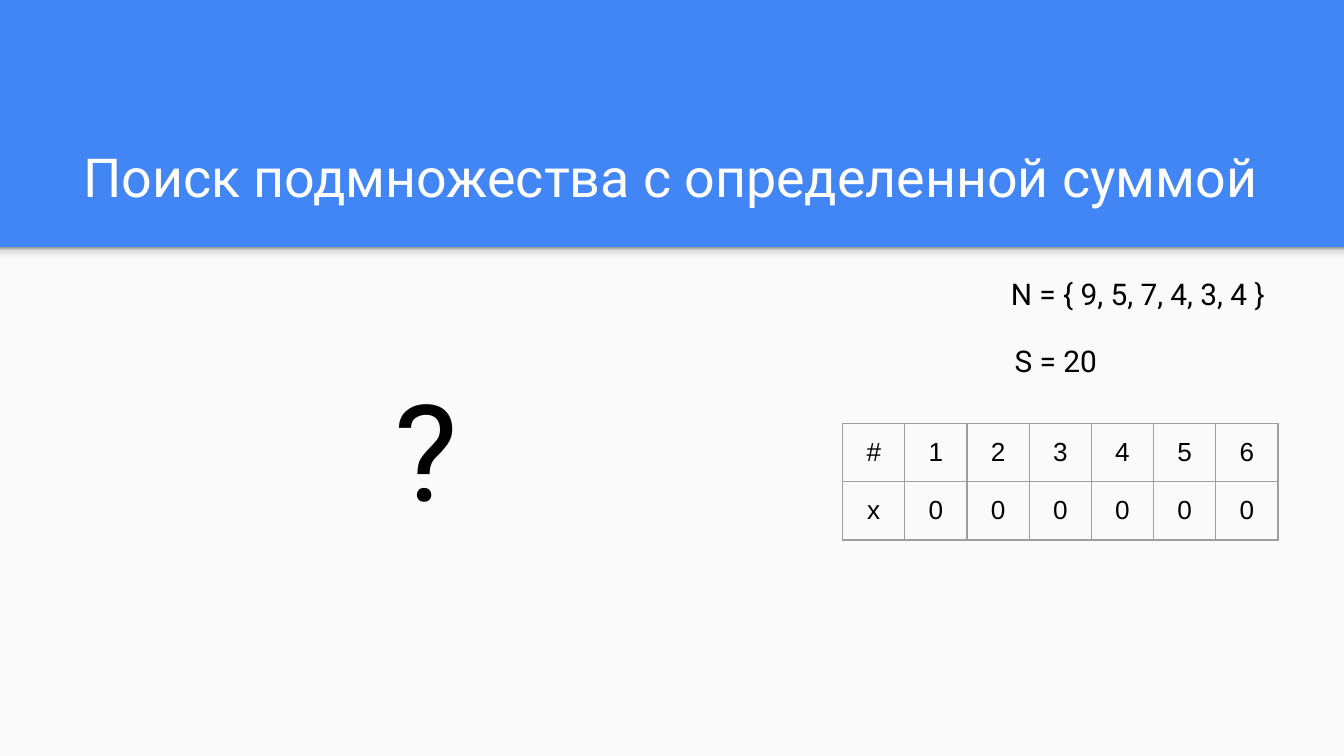
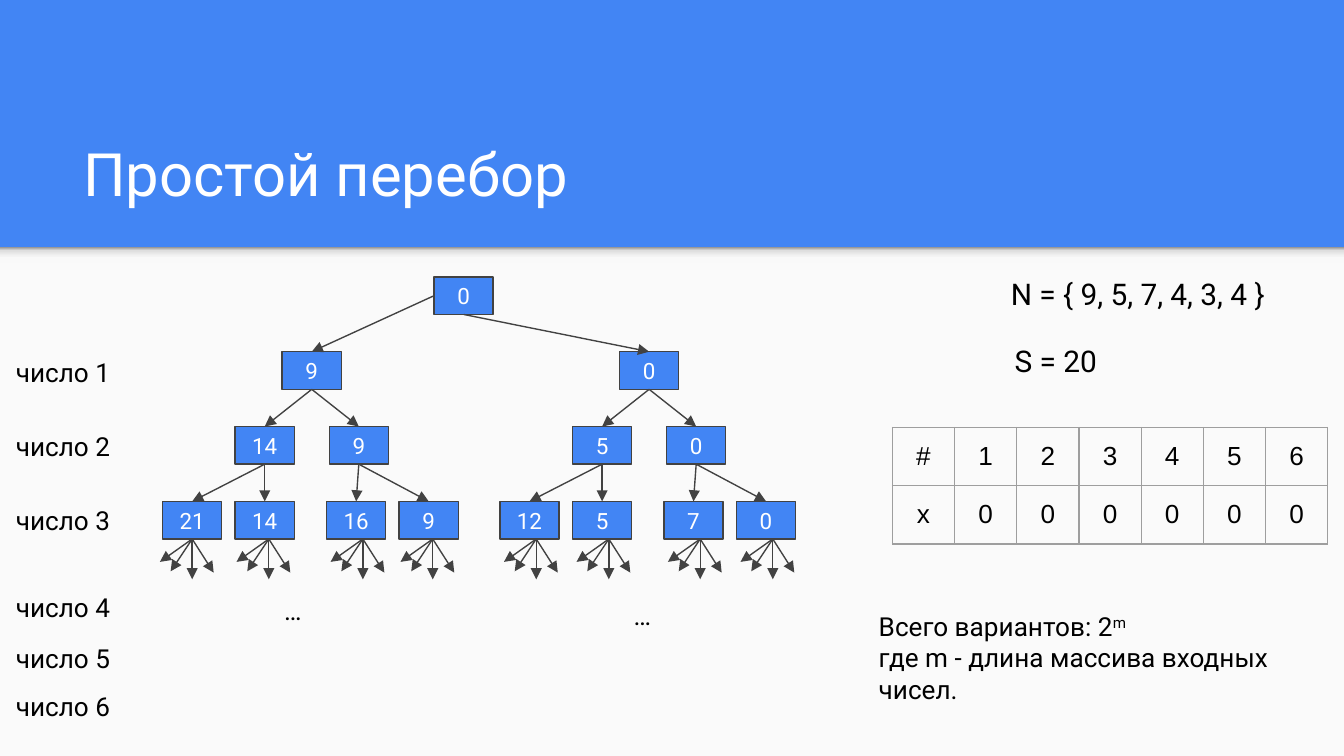
import dataclasses

import lxml.etree
import pptx
import pptx.dml.color
import pptx.enum.shapes
import pptx.enum.text
import pptx.oxml.ns
import pptx.util

RGBColor = pptx.dml.color.RGBColor
BLUE = RGBColor(0x42, 0x85, 0xF4)
PAPER = RGBColor(0xFA, 0xFA, 0xFA)
WHITE = RGBColor(0xFF, 0xFF, 0xFF)
BLACK = RGBColor(0, 0, 0)
DARK_GRAY = RGBColor(0x42, 0x42, 0x42)
BORDER_GRAY = RGBColor(0x9E, 0x9E, 0x9E)
SHADE_LIGHT = RGBColor(0xF9, 0xF9, 0xF9)
SHADE_MIDDLE = RGBColor(0xDE, 0xDE, 0xDE)
SHADE_DARK = RGBColor(0x99, 0x99, 0x99)
SHADE_STOPS = ((0, SHADE_LIGHT), (36, SHADE_LIGHT), (80, SHADE_MIDDLE), (100, SHADE_DARK))

FONT = "Roboto"
TABLE_FONT = "Arial"
LINE_WIDTH = pptx.util.Pt(0.75)
CELL = pptx.util.Inches(0.1)
COLUMNS, ROWS = 100, 56.25
HEADER_ROWS = 18.4

NODE_WIDTH, NODE_HEIGHT, LEVEL_STEP = 4.4, 2.8, 5.57
BRANCH_SHIFT = 25.1
BRANCH_CENTERS = ((11.1,), (7.6, 14.6), (2.2, 7.6, 14.4, 19.8))
TREE_VALUES = ((0,), (9, 0), (14, 9, 5, 0), (21, 14, 16, 9, 12, 5, 7, 0))
FAN_SHIFTS = (0, 0.3, 0.5, 0.3, 0.5, 0.5, 0.5, 0.5)
FAN_TIPS = ((0, 3), (-1.6, 2.4), (1.6, 2.5), (-2.4, 1.7))
LABEL_TOPS = (0, 5.5, 11, 17.5, 21.3, 24.9)

ALIGN = pptx.enum.text.PP_ALIGN
ANCHOR = pptx.enum.text.MSO_ANCHOR


def grid(*cells):
    return [round(cell * CELL) for cell in cells]


@dataclasses.dataclass
class Box:
    left: float
    top: float
    width: float
    height: float

    def inside(self, left, top, width, height):
        return Box(self.left + left, self.top + top, width, height)

    def lengths(self):
        return grid(self.left, self.top, self.width, self.height)


PAGE = Box(0, 0, COLUMNS, ROWS)
CONTENT = PAGE.inside(0, HEADER_ROWS, COLUMNS, ROWS - HEADER_ROWS)


def add_element(parent, tag, **attributes):
    return lxml.etree.SubElement(parent, pptx.oxml.ns.qn(tag), **attributes)


def add_color(parent, color):
    add_element(parent, "a:srgbClr", val=str(color))


def write(text_frame, text, size, color=BLACK, align=ALIGN.LEFT, anchor=ANCHOR.TOP):
    text_frame.text = text
    text_frame.word_wrap = True
    text_frame.vertical_anchor = anchor
    text_frame.margin_left = text_frame.margin_right = CELL
    text_frame.margin_top = text_frame.margin_bottom = CELL
    for paragraph in text_frame.paragraphs:
        paragraph.alignment = align
        for run in paragraph.runs:
            style(run, size, color)


def style(run, size, color=BLACK, name=FONT):
    run.font.name = name
    run.font.size = pptx.util.Pt(size)
    run.font.color.rgb = color


def add_text(slide, box, text, size, align=ALIGN.LEFT):
    shape = slide.shapes.add_textbox(*box.lengths())
    write(shape.text_frame, text, size, align=align)
    return shape


def add_rectangle(slide, box, color):
    shape = slide.shapes.add_shape(pptx.enum.shapes.MSO_SHAPE.RECTANGLE, *box.lengths())
    shape.shadow.inherit = False
    shape.fill.solid()
    shape.fill.fore_color.rgb = color
    shape.line.fill.background()
    return shape


def add_arrow(slide, start, end):
    connector = slide.shapes.add_connector(
        pptx.enum.shapes.MSO_CONNECTOR.STRAIGHT, *grid(*start, *end)
    )
    connector.line.color.rgb = DARK_GRAY
    connector.line.width = LINE_WIDTH
    properties = connector._element.spPr
    add_element(properties.find(pptx.oxml.ns.qn("a:ln")), "a:tailEnd", type="triangle")
    add_element(properties, "a:effectLst")
    return connector


def add_header(slide, title, size):
    add_rectangle(slide, CONTENT, PAPER)
    shade = add_rectangle(slide, CONTENT.inside(0, 0, COLUMNS, 1.2), SHADE_LIGHT)
    shade.fill.gradient()
    shade.fill.gradient_angle = 90
    stops = shade._element.spPr.find(".//" + pptx.oxml.ns.qn("a:gsLst"))
    for stop in list(stops):
        stops.remove(stop)
    for position, color in SHADE_STOPS:
        add_color(add_element(stops, "a:gs", pos=str(position * 1000)), color)

    shape = slide.shapes.title
    shape.left, shape.top, shape.width, shape.height = PAGE.inside(5.2, 8.1, 89.9, 8.4).lengths()
    write(shape.text_frame, title, size, WHITE, anchor=ANCHOR.BOTTOM)
    shape.text_frame.auto_size = pptx.enum.text.MSO_AUTO_SIZE.NONE


def add_problem(slide, box):
    add_text(slide, box.inside(0, 0, 26.4, 5), "N = { 9, 5, 7, 4, 3, 4 }", 16, ALIGN.RIGHT)
    add_text(slide, box.inside(5.5, 5, 8.4, 5), "S = 20", 16, ALIGN.RIGHT)


def add_borders(cell):
    properties = cell._tc.get_or_add_tcPr()
    for side in "LRTB":
        line = add_element(properties, "a:ln" + side, w=str(LINE_WIDTH))
        add_color(add_element(line, "a:solidFill"), BORDER_GRAY)


def add_choice_table(slide, box):
    rows = (("#", *range(1, 7)), ("x", *[0] * 6))
    frame = slide.shapes.add_table(len(rows), len(rows[0]), *box.lengths())
    table = frame.table
    table.first_row = table.horz_banding = False
    for row, values in zip(table.rows, rows):
        row.height = round(box.height / len(rows) * CELL)
        for cell, value in zip(row.cells, values):
            add_borders(cell)
            cell.fill.background()
            cell.text_frame.text = str(value)
            cell.vertical_anchor = ANCHOR.MIDDLE
            cell.margin_left = cell.margin_right = CELL
            cell.margin_top = cell.margin_bottom = CELL
            paragraph = cell.text_frame.paragraphs[0]
            paragraph.alignment = ALIGN.CENTER
            style(paragraph.runs[0], 14, name=TABLE_FONT)


def add_node(slide, box, value):
    shape = add_rectangle(slide, box, BLUE)
    shape.line.color.rgb = DARK_GRAY
    shape.line.width = LINE_WIDTH
    write(shape.text_frame, str(value), 12, WHITE, ALIGN.CENTER, ANCHOR.MIDDLE)
    return shape


def add_fan(slide, leaf, center, top, shift):
    for across, down in FAN_TIPS:
        start = center + shift, top
        arrow = add_arrow(slide, start, (start[0] + across, top + down))
        if not shift:
            arrow.begin_connect(leaf, 2)


def add_tree(slide, box):
    levels = [(22.4,)]
    for centers in BRANCH_CENTERS:
        levels.append(centers + tuple(center + BRANCH_SHIFT for center in centers))

    parents = []
    for depth, (centers, values) in enumerate(zip(levels, TREE_VALUES)):
        top = depth * LEVEL_STEP
        nodes = []
        for index, (center, value) in enumerate(zip(centers, values)):
            place = box.inside(center - NODE_WIDTH / 2, top, NODE_WIDTH, NODE_HEIGHT)
            node = add_node(slide, place, value)
            nodes.append(node)
            if parents:
                arrow = add_arrow(slide, (0, 0), (1, 1))
                arrow.begin_connect(parents[index // 2], 1 if depth == 1 and index == 0 else 2)
                arrow.end_connect(node, 0)
        parents = nodes

    fan_top = box.top + top + NODE_HEIGHT
    for leaf, center, shift in zip(parents, levels[-1], FAN_SHIFTS):
        add_fan(slide, leaf, box.left + center, fan_top, shift)
    for left, top in ((2.9, 22.6), (28.9, 23)):
        add_text(slide, box.inside(left, top, 13.6, 3), "…", 14, ALIGN.CENTER)


def add_level_labels(slide, box):
    for number, top in enumerate(LABEL_TOPS, 1):
        add_text(slide, box.inside(0, top, box.width, 4.4), f"число {number}", 14)


def add_count_note(slide, box):
    text = "Всего вариантов: 2\nгде m - длина массива входных чисел."
    shape = add_text(slide, box, text, 14)
    exponent = shape.text_frame.paragraphs[0].add_run()
    exponent.text = "m"
    style(exponent, 14)
    exponent._r.get_or_add_rPr().set("baseline", "30000")


def add_slide(presentation, title, title_size, table_left, table_top):
    slide = presentation.slides.add_slide(presentation.slide_layouts[5])
    add_header(slide, title, title_size)
    add_problem(slide, CONTENT.inside(68.7, 1.1, 26.4, 10))
    add_choice_table(slide, CONTENT.inside(table_left, table_top, 32.4, 8.4))
    return slide


def add_question_slide(presentation):
    slide = add_slide(presentation, "Поиск подмножества с определенной суммой", 28.8, 62.7, 13.1)
    add_text(slide, CONTENT.inside(17.6, 7.9, 28.2, 18.9), "?", 72, ALIGN.CENTER)


def add_search_slide(presentation):
    slide = add_slide(presentation, "Простой перебор", 32, 66.4, 13.4)
    add_tree(slide, CONTENT.inside(12.1, 2.2, 47.2, 25))
    add_level_labels(slide, CONTENT.inside(0.2, 7.1, 12.4, 30))
    add_count_note(slide, CONTENT.inside(64.4, 26, 33.3, 11.3))


def main():
    presentation = pptx.Presentation()
    presentation.slide_width, presentation.slide_height = grid(COLUMNS, ROWS)
    background = presentation.slide_master.background.fill
    background.solid()
    background.fore_color.rgb = BLUE
    add_question_slide(presentation)
    add_search_slide(presentation)
    presentation.save("out.pptx")


if __name__ == "__main__":
    main()
